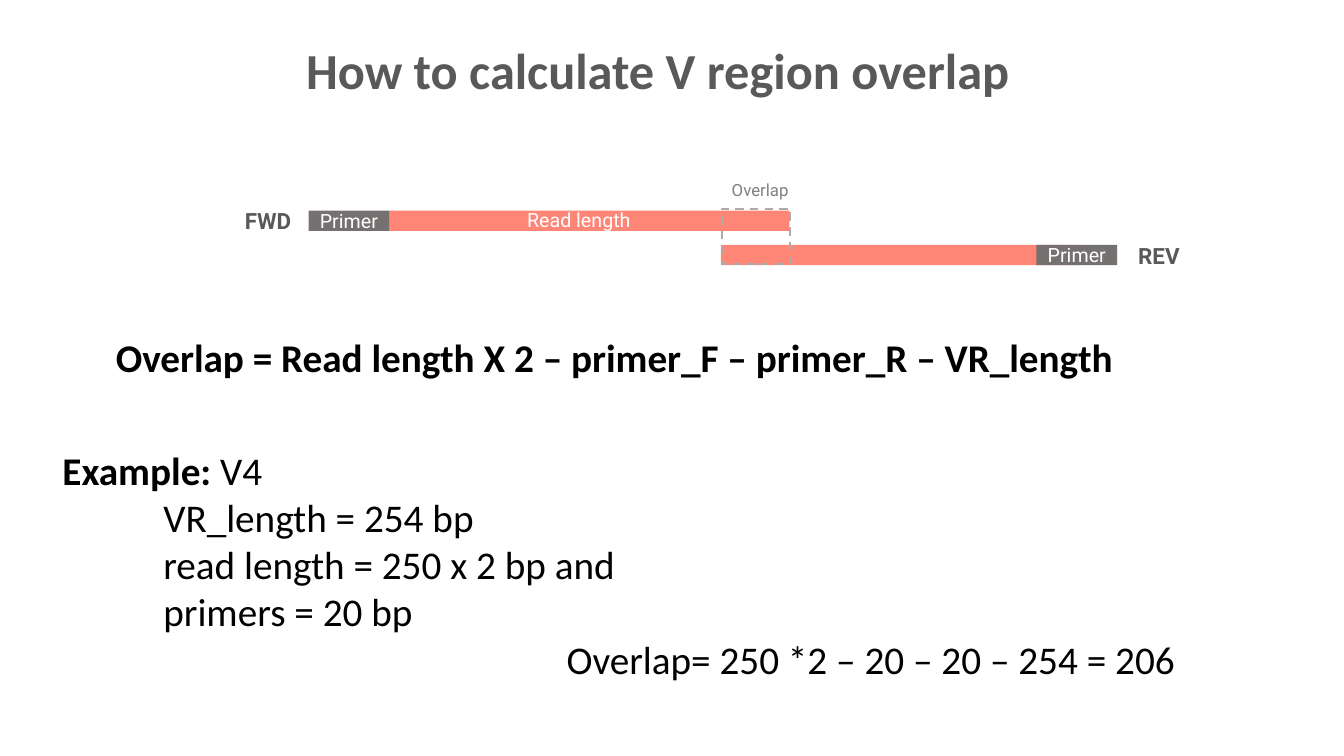
from pptx import Presentation, util as u
from pptx.dml.color import RGBColor
from pptx.enum import dml, shapes, text
from pptx.oxml.ns import qn
from lxml import etree

THEME = {
    "read": "FF8577", "primer": "767171", "dash": "AFABAB", "white": "FFFFFF",
    "caption": "808080", "heading": "595959", "body": "000000",
    "title_pt": 36, "body_pt": 28, "end_pt": 16, "bar_pt": 14, "caption_pt": 12,
    "main": "Calibri", "diagram": "Roboto",
}

prs = Presentation()
prs.slide_width, prs.slide_height = u.Inches(13.33), u.Inches(7.5)
s = prs.slides.add_slide(prs.slide_layouts[1])


def box(x, y, w, h):
    """Turn percentages of the slide into left, top, width and height."""
    W, H = prs.slide_width, prs.slide_height
    return [int(v * side / 100) for v, side in ((x, W), (y, H), (w, W), (h, H))]


def add_run(p, words, size, color, font, bold=False):
    r = p.add_run()
    r.text = words
    r.font.size, r.font.name, r.font.bold = u.Pt(THEME[size]), THEME[font], bold
    r.font.color.rgb = RGBColor.from_string(THEME[color])


# Read diagram: the reverse row sits one step below the forward row
FWD_Y, STEP, BAR_H, PRIMER_W = 27.87, 4.53, 2.67, 6
REV_Y = FWD_Y + STEP
bars = [
    (28.96, FWD_Y, 29.78, "read", ""),
    (53.64, REV_Y, 26.56, "read", ""),
    (22.96, FWD_Y, PRIMER_W, "primer", "Primer"),
    (77.12, REV_Y, PRIMER_W, "primer", "Primer"),
]
for x, y, w, color, words in bars:
    sp = s.shapes.add_shape(shapes.MSO_SHAPE.RECTANGLE, *box(x, y, w, BAR_H))
    sp.shadow.inherit = False
    sp.fill.solid()
    sp.fill.fore_color.rgb = RGBColor.from_string(THEME[color])
    sp.line.fill.background()
    if words:
        tf = sp.text_frame
        tf.vertical_anchor = text.MSO_ANCHOR.MIDDLE
        tf.paragraphs[0].alignment = text.PP_ALIGN.CENTER
        add_run(tf.paragraphs[0], words, "bar_pt", "white", "diagram")

sp = s.shapes.add_shape(shapes.MSO_SHAPE.RECTANGLE, *box(53.71, 27.6, 5.1, 7.33))
sp.shadow.inherit = False
sp.fill.background()
sp.line.color.rgb = RGBColor.from_string(THEME["dash"])
sp.line.width = u.Pt(1.5)
sp.line.dash_style = dml.MSO_LINE.DASH

LABEL_Y = 26.8
labels = [
    ("Overlap", (53.71, 23.07, 6.15, 4), "caption_pt", "caption", "diagram", False),
    ("Read length", (38.48, LABEL_Y, 11.78, 4.53), "bar_pt", "white", "diagram", False),
    ("FWD", (17.48, LABEL_Y, 6.23, 4.93), "end_pt", "heading", "diagram", True),
    ("REV", (83.95, LABEL_Y + STEP, 6.23, 4.93), "end_pt", "heading", "diagram", True),
    ("Overlap = Read length X 2 – primer_F – primer_R – VR_length",
     (7.88, 43.47, 77.79, 7.6), "body_pt", "body", "main", True),
]
for words, place, *style in labels:
    tf = s.shapes.add_textbox(*box(*place)).text_frame
    tf.word_wrap = True
    add_run(tf.paragraphs[0], words, *style)

# Title and worked example
title, body = s.shapes.title, s.placeholders[1]
for sp, place in ((title, (21.23, 4.53, 55.44, 9.47)), (body, (3.9, 58.4, 92.8, 32.8))):
    sp.left, sp.top, sp.width, sp.height = box(*place)
    sp.text_frame.auto_size = text.MSO_AUTO_SIZE.NONE
    sp.text_frame.vertical_anchor = text.MSO_ANCHOR.TOP
title.text_frame.paragraphs[0].alignment = text.PP_ALIGN.CENTER
add_run(title.text_frame.paragraphs[0], "How to calculate V region overlap",
        "title_pt", "heading", "main", True)

TAB = u.Inches(1)
example = [
    (0, [("Example: ", True), ("V4", False)]),
    (1, [("VR_length = 254 bp", False)]),
    (1, [("read length = 250 x 2 bp and", False)]),
    (1, [("primers = 20 bp", False)]),
    (5, [("Overlap= 250 *2 – 20 – 20 – 254 = 206", False)]),
]
tf = body.text_frame
for i, (tabs, runs) in enumerate(example):
    p = tf.add_paragraph() if i else tf.paragraphs[0]
    p.space_before = u.Pt(0)
    pPr = p._p.get_or_add_pPr()
    pPr.set("marL", str(tabs * TAB))
    pPr.set("indent", "0")
    etree.SubElement(pPr, qn("a:buNone"))
    for words, bold in runs:
        add_run(p, words, "body_pt", "body", "main", bold)

prs.save("out.pptx")
